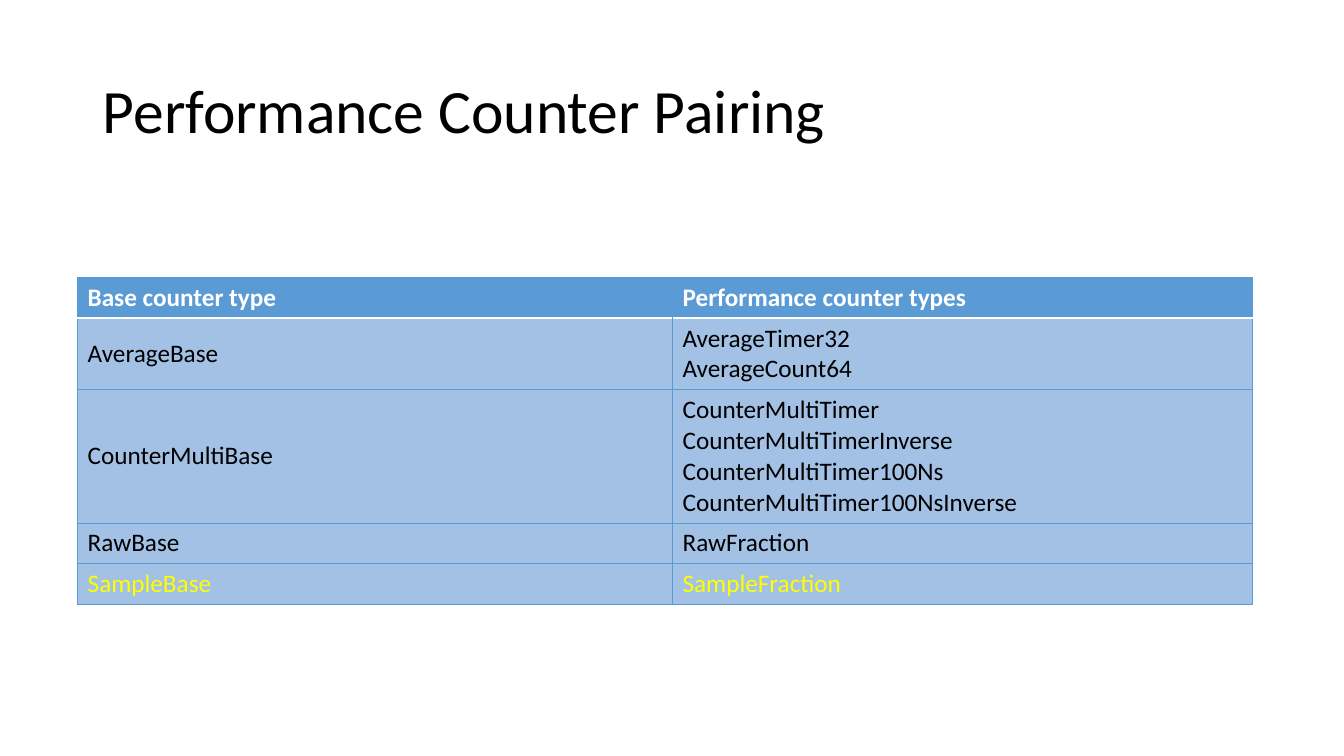
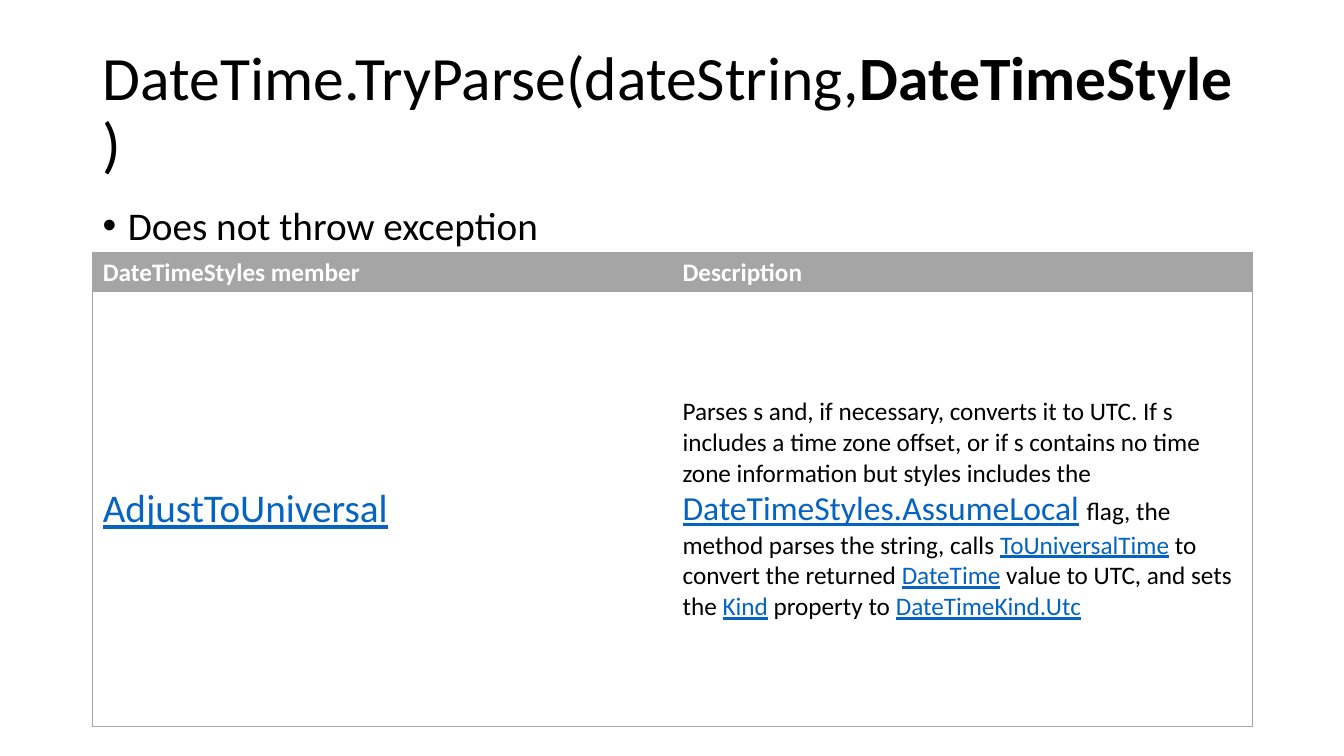
from dataclasses import dataclass
from typing import Optional

from lxml import etree
from pptx import Presentation
from pptx.dml.color import RGBColor
from pptx.enum import text as tx
from pptx.oxml import ns
from pptx.util import Inches, Pt

FONT = "Calibri"
BLACK = RGBColor(0x00, 0x00, 0x00)
WHITE = RGBColor(0xFF, 0xFF, 0xFF)
BLUE = RGBColor(0x5B, 0x9B, 0xD5)
PALE = RGBColor(0xA3, 0xC1, 0xE5)
GRAY = RGBColor(0xA5, 0xA5, 0xA5)
LINK = RGBColor(0x05, 0x63, 0xC1)
YELLOW = RGBColor(0xFF, 0xFF, 0x00)
LEFT, WIDTH = 0.92, 11.5


@dataclass(frozen=True)
class Span:
    text: str
    size: float = 18
    color: RGBColor = BLACK
    bold: bool = False
    line: bool = False


@dataclass(frozen=True)
class Edge:
    color: RGBColor
    width: float = 0.5


@dataclass(frozen=True)
class Grid:
    left: float
    top: float
    cols: list[float]
    rows: list[float]
    head: RGBColor
    body: Optional[RGBColor]
    inner: Optional[Edge]
    rule: Optional[Edge]


Line = list[Span]
Cell = list[Line]


def link(text: str, size: float = 18) -> Span:
    return Span(text, size, LINK, line=True)


def plain(*lines: str, color: RGBColor = BLACK) -> Cell:
    return [[Span(line, color=color)] for line in lines]


def header(*names: str) -> list[Cell]:
    return [[[Span(name, color=WHITE, bold=True)]] for name in names]


def write(frame, lines: Cell) -> None:
    for i, line in enumerate(lines):
        para = frame.add_paragraph() if i else frame.paragraphs[0]
        for span in line:
            run = para.add_run()
            run.text = span.text
            font = run.font
            font.name, font.size = FONT, Pt(span.size)
            font.bold, font.underline = span.bold, span.line
            font.color.rgb = span.color


def place(shape, left: float, top: float, width: float, height: float) -> None:
    shape.left, shape.top = Inches(left), Inches(top)
    shape.width, shape.height = Inches(width), Inches(height)


def add_page(deck, title: Line):
    page = deck.slides.add_slide(deck.slide_layouts[5])
    shape = page.shapes.title
    place(shape, LEFT, 0.4, WIDTH, 1.45)
    frame = shape.text_frame
    frame.auto_size = tx.MSO_AUTO_SIZE.NONE
    frame.vertical_anchor = tx.MSO_ANCHOR.MIDDLE
    write(frame, [title])
    para = frame.paragraphs[0]
    para.alignment, para.line_spacing = tx.PP_ALIGN.LEFT, 0.9
    return page


def add_bullet(page, span: Span, top: float, height: float) -> None:
    box = page.shapes.add_textbox(
        Inches(LEFT), Inches(top), Inches(WIDTH), Inches(height))
    frame = box.text_frame
    frame.word_wrap = True
    write(frame, [[span]])
    para = frame.paragraphs[0]
    para.line_spacing, para.space_before = 0.9, Pt(10)
    props = para._p.get_or_add_pPr()
    props.set("marL", str(Inches(0.25)))
    props.set("indent", str(Inches(-0.25)))
    face = etree.SubElement(props, ns.qn("a:buFont"))
    face.set("typeface", "Arial")
    etree.SubElement(props, ns.qn("a:buChar")).set("char", "•")


def set_edges(cell, edges: dict[str, Optional[Edge]]) -> None:
    props = cell._tc.get_or_add_tcPr()
    for i, (side, edge) in enumerate(edges.items()):
        line = etree.Element(ns.qn(f"a:ln{side}"))
        if edge:
            line.set("w", str(Pt(edge.width)))
            fill = etree.SubElement(line, ns.qn("a:solidFill"))
            tone = etree.SubElement(fill, ns.qn("a:srgbClr"))
            tone.set("val", str(edge.color))
        else:
            etree.SubElement(line, ns.qn("a:noFill"))
        props.insert(i, line)


def add_grid(page, grid: Grid, data: list[list[Cell]]) -> None:
    last_row, last_col = len(grid.rows) - 1, len(grid.cols) - 1
    table = page.shapes.add_table(
        len(grid.rows), len(grid.cols), Inches(grid.left), Inches(grid.top),
        Inches(sum(grid.cols)), Inches(sum(grid.rows))).table
    for col, width in zip(table.columns, grid.cols):
        col.width = Inches(width)
    for row, height in zip(table.rows, grid.rows):
        row.height = Inches(height)
    outer = Edge(grid.head)
    for r, row in enumerate(data):
        for c, lines in enumerate(row):
            cell = table.cell(r, c)
            cell.vertical_anchor = tx.MSO_ANCHOR.MIDDLE
            write(cell.text_frame, lines)
            tone = grid.body if r else grid.head
            if tone is None:
                cell.fill.background()
            else:
                cell.fill.solid()
                cell.fill.fore_color.rgb = tone
            side = grid.inner if r else None
            above = grid.rule if r == 1 else grid.inner
            below = grid.rule if r == 0 else grid.inner
            set_edges(cell, {
                "L": outer if c == 0 else side,
                "R": outer if c == last_col else side,
                "T": outer if r == 0 else above,
                "B": outer if r == last_row else below,
            })


def add_pairs(deck) -> None:
    page = add_page(deck, [Span("Performance Counter Pairing", 44)])
    grid = Grid(0.77, 2.75, [5.9, 5.75], [0.4, 0.71, 1.32, 0.4, 0.4],
                BLUE, PALE, Edge(BLUE), Edge(WHITE, 1))
    add_grid(page, grid, [
        header("Base counter type", "Performance counter types"),
        [plain("AverageBase"), plain("AverageTimer32", "AverageCount64")],
        [plain("CounterMultiBase"),
         plain("CounterMultiTimer", "CounterMultiTimerInverse",
               "CounterMultiTimer100Ns", "CounterMultiTimer100NsInverse")],
        [plain("RawBase"), plain("RawFraction")],
        [plain("SampleBase", color=YELLOW),
         plain("SampleFraction", color=YELLOW)],
    ])


def add_styles(deck) -> None:
    page = add_page(deck, [
        Span("DateTime.TryParse(dateString,", 44),
        Span("DateTimeStyle", 44, bold=True),
        Span(")", 44),
    ])
    add_bullet(page, Span("Does not throw exception", 28), 2, 0.57)
    grid = Grid(LEFT, 2.5, [5.75, 5.75], [0.4, 4.31], GRAY, None, None, None)
    about = [
        Span("Parses s and, if necessary, converts it to UTC. If s includes "
             "a time zone offset, or if s contains no time zone information "
             "but styles includes the "),
        link("DateTimeStyles.AssumeLocal", 24),
        Span(" ", 24),
        Span("flag, the method parses the string, calls "),
        link("ToUniversalTime"),
        Span(" to convert the returned "),
        link("DateTime"),
        Span(" value to UTC, and sets the "),
        link("Kind"),
        Span(" property to "),
        link("DateTimeKind.Utc"),
    ]
    add_grid(page, grid, [
        header("DateTimeStyles member", "Description"),
        [[[link("AdjustToUniversal", 28)]], [about]],
    ])


def main() -> None:
    deck = Presentation()
    deck.slide_width, deck.slide_height = Inches(13.33), Inches(7.5)
    add_pairs(deck)
    add_styles(deck)
    deck.save("out.pptx")


if __name__ == "__main__":
    main()
